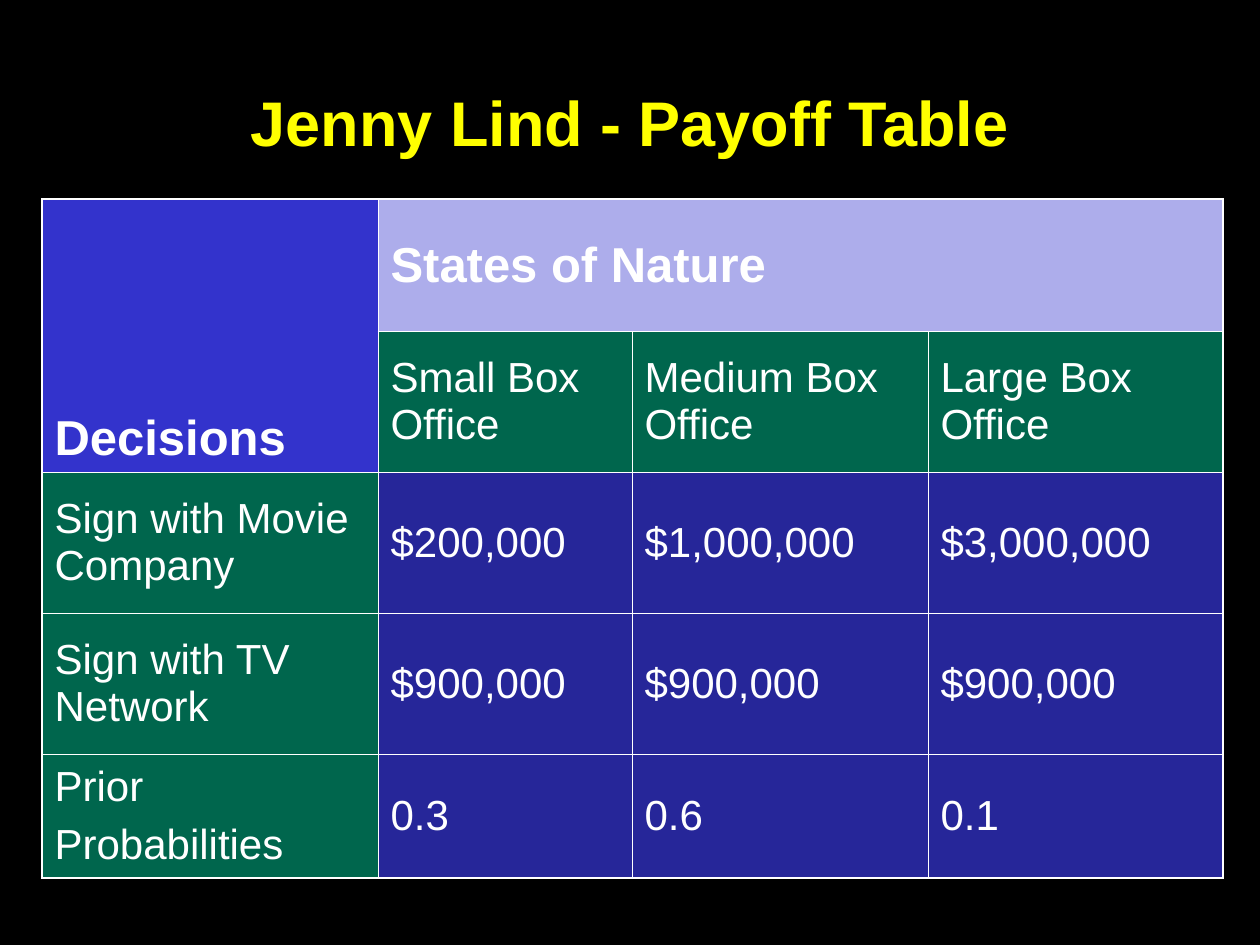
import pptx
import pptx.util
import pptx.oxml
import pptx.dml.color
import pptx.enum.text

PX = 914400 // 126
ANCHOR = pptx.enum.text.MSO_ANCHOR
ALIGN = pptx.enum.text.PP_ALIGN
COLORS = {
    "back": "000000", "title": "FFFF00", "text": "FFFFFF", "line": "FFFFFF",
    "corner": "3333CC", "states": "ADADEB", "label": "00664D", "value": "262699",
}


def color(name):
    return pptx.dml.color.RGBColor.from_string(COLORS[name])


class Deck:
    font = "Arial"
    thin, thick = 0.45, 1.08

    def __init__(self, width, height):
        self.prs = pptx.Presentation()
        self.prs.slide_width = width * PX
        self.prs.slide_height = height * PX
        self.slide = self.prs.slides.add_slide(self.prs.slide_layouts[6])
        fill = self.slide.background.fill
        fill.solid()
        fill.fore_color.rgb = color("back")

    def label(self, frame, text, size, tone="text", bold=False, align=ALIGN.LEFT):
        frame.text = text
        frame.word_wrap = True
        for i, para in enumerate(frame.paragraphs):
            para.alignment = align
            if i:
                para.space_before = pptx.util.Pt(6)
            for run in para.runs:
                run.font.name = self.font
                run.font.size = pptx.util.Pt(size)
                run.font.bold = bold
                run.font.color.rgb = color(tone)

    def title(self, text, left, top, width, height):
        box = self.slide.shapes.add_textbox(left * PX, top * PX, width * PX, height * PX)
        box.text_frame.vertical_anchor = ANCHOR.MIDDLE
        self.label(box.text_frame, text, 36, "title", True, ALIGN.CENTER)

    def table(self, left, top, cols, rows):
        frame = self.slide.shapes.add_table(
            len(rows), len(cols), left * PX, top * PX, sum(cols) * PX, sum(rows) * PX)
        grid = frame.table
        for col, width in zip(grid.columns, cols):
            col.width = width * PX
        for row, height in zip(grid.rows, rows):
            row.height = height * PX
        return grid

    def border(self, cell, outer):
        props = cell._tc.get_or_add_tcPr()
        for side in "LRTB":
            width = self.thick if side in outer else self.thin
            props.append(pptx.oxml.parse_xml(
                '<a:ln%s xmlns:a="http://schemas.openxmlformats.org/drawingml/2006/main" w="%d">'
                '<a:solidFill><a:srgbClr val="%s"/></a:solidFill></a:ln%s>'
                % (side, pptx.util.Pt(width), COLORS["line"], side)))

    def cell(self, cell, text, tone, size=24, bold=False, anchor=ANCHOR.MIDDLE):
        cell.fill.solid()
        cell.fill.fore_color.rgb = color(tone)
        cell.vertical_anchor = anchor
        self.label(cell.text_frame, text, size, bold=bold)


def main():
    deck = Deck(1260, 945)
    deck.title("Jenny Lind - Payoff Table", 63, 63, 1134, 116)

    # Grid: merged headings and a heavier outer edge
    cols = [336, 254, 296, 295]
    rows = [132, 141, 141, 141, 124]
    grid = deck.table(42, 199, cols, rows)
    grid.cell(0, 0).merge(grid.cell(1, 0))
    grid.cell(0, 1).merge(grid.cell(0, 3))
    for r in range(len(rows)):
        for c in range(len(cols)):
            cell = grid.cell(r, c)
            edges = {"L": c == 0, "T": r == 0,
                     "R": c + cell.span_width == len(cols),
                     "B": r + cell.span_height == len(rows)}
            deck.border(cell, [side for side in edges if edges[side]])

    # Headings
    deck.cell(grid.cell(0, 0), "Decisions", "corner", 28, True, ANCHOR.BOTTOM)
    deck.cell(grid.cell(0, 1), "States of Nature", "states", 28, True)
    for c, size in enumerate(["Small", "Medium", "Large"], 1):
        deck.cell(grid.cell(1, c), size + " Box Office", "label")

    # Payoffs and probabilities
    body = [
        ["Sign with Movie Company", "$200,000", "$1,000,000", "$3,000,000"],
        ["Sign with TV Network", "$900,000", "$900,000", "$900,000"],
        ["Prior\nProbabilities", "0.3", "0.6", "0.1"],
    ]
    for r, line in enumerate(body, 2):
        for c, text in enumerate(line):
            deck.cell(grid.cell(r, c), text, "value" if c else "label")

    deck.prs.save("out.pptx")


if __name__ == "__main__":
    main()
